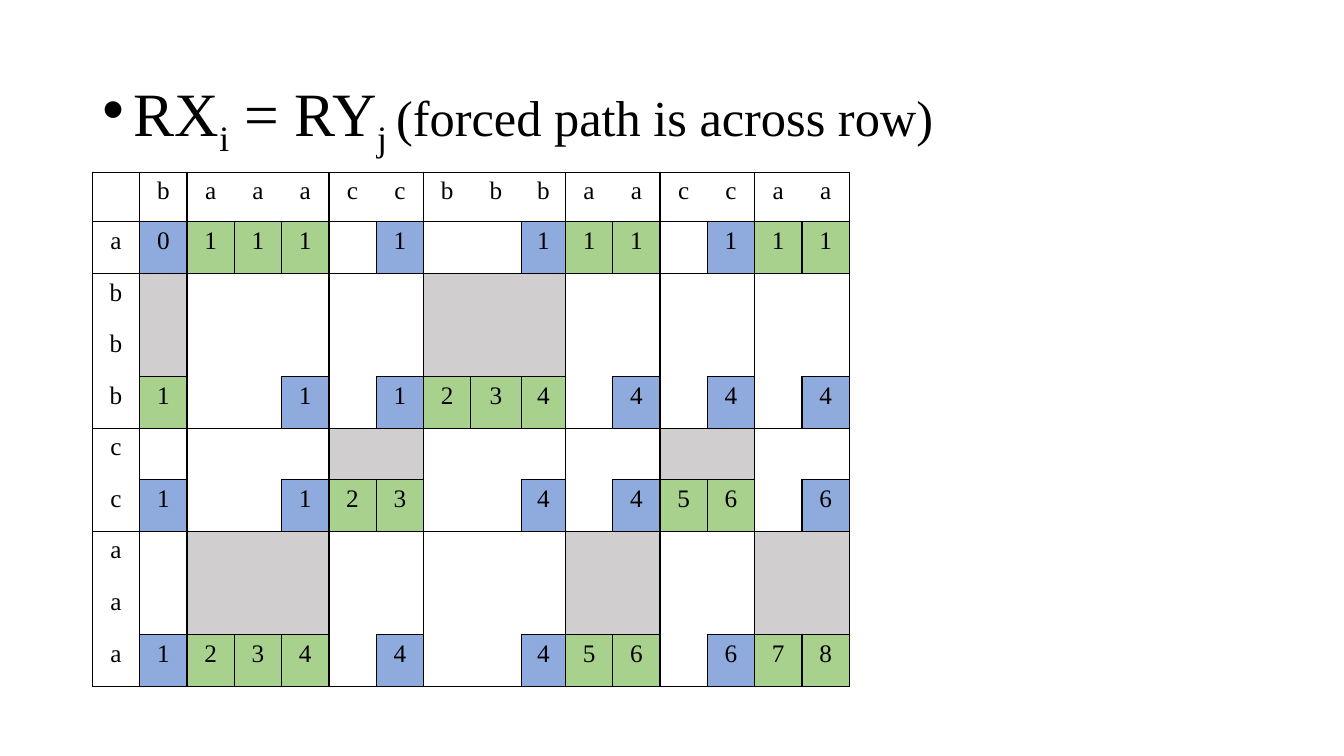
from lxml import etree
from pptx import Presentation
from pptx.dml.color import RGBColor
from pptx.enum.text import MSO_ANCHOR, PP_ALIGN
from pptx.oxml.ns import qn
from pptx.util import Pt

CENTER = PP_ALIGN.CENTER
MIDDLE = MSO_ANCHOR.MIDDLE

COL_LABELS = " baaaccbbbaaccaa"
ROW_LABELS = " abbbccaaa"
# Scores by table row; a dot is a cell without a score
SCORES = {
    1: "0111.1..111.111",
    4: "1..1.1234.4.4.4",
    6: "1..123..4.456.6",
    9: "1234.4..456.678",
}
COL_WIDTHS = [33.8] * 8 + [36, 31.6] + [33.8] * 6
ROW_HEIGHTS = [35.5] + [36.86] * 9
TITLE = [
    ("RX", {}),
    ("i", {"baseline": -25}),
    (" = RY", {}),
    ("j ", {"baseline": -25}),
    ("(forced path is across row)", {"size": 36}),
]


def rgb(value):
    return RGBColor.from_string(value)


def add_run(p, text, size=18, font="Times New Roman", color="000000", baseline=0):
    r = p.add_run()
    r.text = text
    r.font.size = Pt(size)
    r.font.name = font
    r.font.color.rgb = rgb(color)
    if baseline:
        r.font._element.set("baseline", str(baseline * 1000))


def score(row, col):
    """Score shown in a cell, or an empty string."""
    if row not in SCORES or col == 0:
        return ""
    return SCORES[row][col - 1].strip(".")


def has_edge(a, b):
    """Neighbours are divided where the run changes or a score is shown."""
    (row_a, col_a), (row_b, col_b) = a, b
    if not (0 <= row_b < len(ROW_LABELS) and 0 <= col_b < len(COL_LABELS)):
        return True
    return (ROW_LABELS[row_a] != ROW_LABELS[row_b]
            or COL_LABELS[col_a] != COL_LABELS[col_b]
            or bool(score(*a) or score(*b)))


class Deck:
    SCORE_MATCH = "A9D18E"
    SCORE_OTHER = "8FAADC"
    MATCH = "D0CECE"
    LINE = "000000"

    def __init__(self, width, height):
        self.prs = Presentation()
        self.prs.slide_width, self.prs.slide_height = Pt(width), Pt(height)
        self.s = self.prs.slides.add_slide(self.prs.slide_layouts[6])

    def bullet_title(self, x, y, w, h, runs, indent=22.5):
        tf = self.s.shapes.add_textbox(Pt(x), Pt(y), Pt(w), Pt(h)).text_frame
        tf.word_wrap = True
        tf.vertical_anchor = MIDDLE
        p = tf.paragraphs[0]
        p.line_spacing = 0.9
        pPr = p._p.get_or_add_pPr()
        pPr.set("marL", str(Pt(indent)))
        pPr.set("indent", str(-Pt(indent)))
        etree.SubElement(pPr, qn("a:buFont"), typeface="Arial")
        etree.SubElement(pPr, qn("a:buChar"), char="•")
        for text, style in runs:
            add_run(p, text, **{"size": 44, **style})

    def border(self, cell, side, visible):
        ln = etree.SubElement(cell._tc.get_or_add_tcPr(), qn("a:ln" + side),
                              w=str(Pt(1)))
        if visible:
            fill = etree.SubElement(ln, qn("a:solidFill"))
            etree.SubElement(fill, qn("a:srgbClr"), val=self.LINE)
        else:
            etree.SubElement(ln, qn("a:noFill"))

    def cell(self, cell, row, col):
        sides = {"L": (row, col - 1), "R": (row, col + 1),
                 "T": (row - 1, col), "B": (row + 1, col)}
        for side, neighbour in sides.items():
            self.border(cell, side, has_edge((row, col), neighbour))

        value = score(row, col)
        match = row > 0 and col > 0 and ROW_LABELS[row] == COL_LABELS[col]
        if value:
            color = self.SCORE_MATCH if match else self.SCORE_OTHER
        else:
            color = self.MATCH if match else None
        if color:
            cell.fill.solid()
            cell.fill.fore_color.rgb = rgb(color)
        else:
            cell.fill.background()

        if row == 0:
            value = COL_LABELS[col].strip()
        elif col == 0:
            value = ROW_LABELS[row]
        if value:
            p = cell.text_frame.paragraphs[0]
            p.alignment = CENTER
            add_run(p, value)

    def score_table(self, x, y):
        table = self.s.shapes.add_table(
            len(ROW_HEIGHTS), len(COL_WIDTHS), Pt(x), Pt(y),
            Pt(sum(COL_WIDTHS)), Pt(sum(ROW_HEIGHTS))).table
        table.first_row = table.horz_banding = False
        for column, width in zip(table.columns, COL_WIDTHS):
            column.width = Pt(width)
        for row, height in enumerate(ROW_HEIGHTS):
            table.rows[row].height = Pt(height)
            for col in range(len(COL_WIDTHS)):
                self.cell(table.cell(row, col), row, col)


def main():
    deck = Deck(960, 540)
    deck.bullet_title(66, 29, 828, 104.4, TITLE)
    deck.score_table(66, 123)
    deck.prs.save("out.pptx")


if __name__ == "__main__":
    main()
